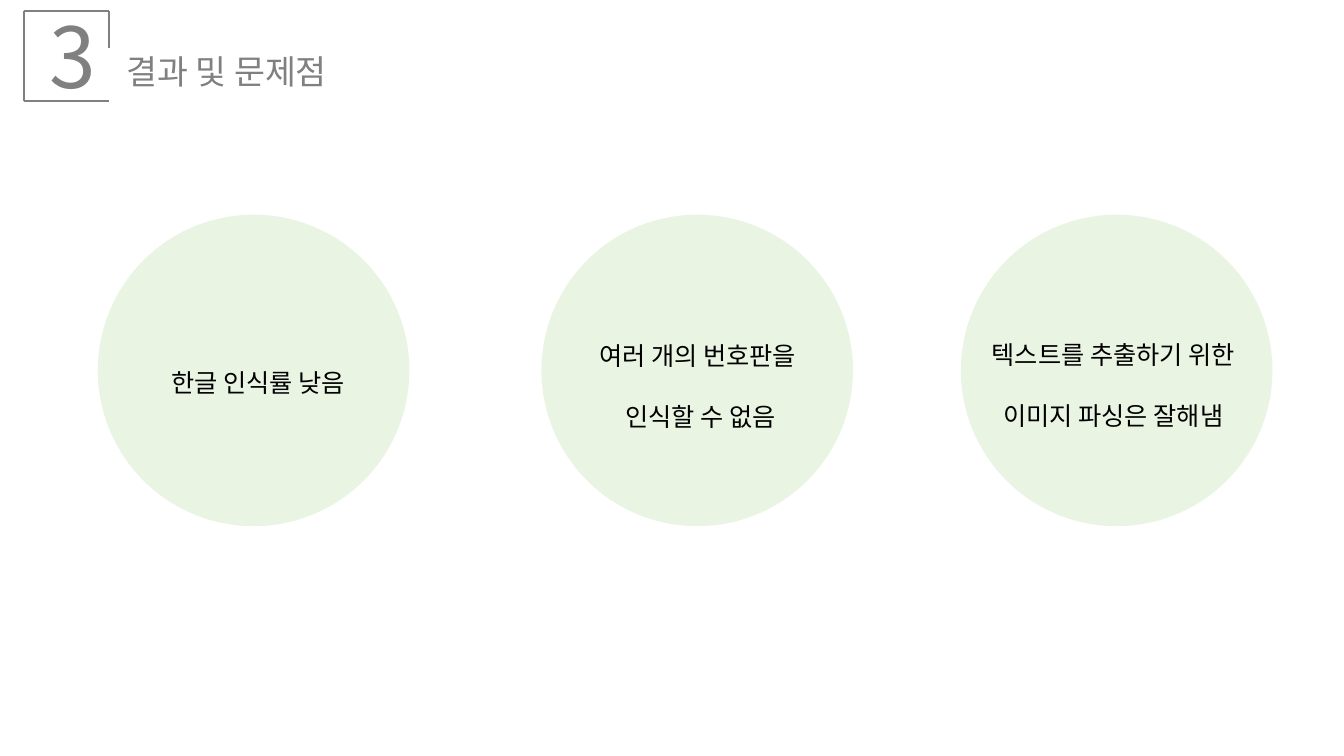
from lxml import etree
from pptx import Presentation
from pptx.dml.color import RGBColor
from pptx.enum import shapes, text
from pptx.oxml.ns import qn
from pptx.util import Inches, Pt

FONT = "Noto Sans CJK KR"
GRAY = "808080"
BLACK = "000000"
PALE_GREEN = "E2F0D9"
CIRCLE_TOP, CIRCLE_SIZE = 2.13, 3.09
FINDING_WIDTH = 3.44

# circle left, text left, text top, text height, paragraphs
FINDINGS = [
    (0.97, 0.87, 3.29, 1.31, ["한글 인식률 낮음 "]),
    (5.37, 5.2, 3.03, 1.31, ["여러 개의 번호판을", " 인식할 수 없음"]),
    (9.53, 9.35, 3.02, 1.31, ["텍스트를 추출하기 위한 ", "이미지 파싱은 잘해냄 "]),
]


def rgb(hex_color):
    return RGBColor.from_string(hex_color)


def add_text(parent, box, lines, size, color=BLACK, align=None, spacing=None):
    """Add a text box with one paragraph per line."""
    tf = parent.add_textbox(*map(Inches, box)).text_frame
    tf.word_wrap = True
    tf.auto_size = text.MSO_AUTO_SIZE.SHAPE_TO_FIT_TEXT
    for i, line in enumerate(lines):
        p = tf.add_paragraph() if i else tf.paragraphs[0]
        p.alignment = align
        p.line_spacing = spacing
        r = p.add_run()
        r.text = line
        r.font.size = Pt(size)
        r.font.color.rgb = rgb(color)
        r.font.name = FONT
        # Korean glyphs take the East Asian typeface
        etree.SubElement(r.font._element, qn("a:ea"), typeface=FONT)


def add_circle(parent, left):
    sp = parent.add_shape(shapes.MSO_SHAPE.OVAL, Inches(left), Inches(CIRCLE_TOP),
                          Inches(CIRCLE_SIZE), Inches(CIRCLE_SIZE))
    sp.shadow.inherit = False
    sp.line.fill.background()
    sp.fill.solid()
    sp.fill.fore_color.rgb = rgb(PALE_GREEN)
    color = sp._element.spPr.find(".//" + qn("a:srgbClr"))
    etree.SubElement(color, qn("a:alpha"), val="72000")


def add_line(parent, *ends):
    line = parent.add_connector(shapes.MSO_CONNECTOR.STRAIGHT, *map(Inches, ends))
    line.line.color.rgb = rgb(GRAY)
    line.line.width = Pt(1.5)
    etree.SubElement(line._element.spPr, qn("a:effectLst"))


def add_section_number(parent, number):
    """Add the number inside a frame that is open at the lower right."""
    left, top, right, bottom = 0.24, 0.11, 1.08, 1
    group = parent.add_group_shape().shapes
    add_text(group, (0.39, 0, 0.73, 1.11), [number], 60, color=GRAY)
    add_line(group, left, top, right, top)
    add_line(group, left, top, left, bottom)
    add_line(group, left, bottom, right, bottom)
    add_line(group, right, top, right, 0.48)


def main():
    prs = Presentation()
    prs.slide_width, prs.slide_height = Inches(13.33), Inches(7.5)
    s = prs.slides.add_slide(prs.slide_layouts[6])
    for circle_left, *_ in FINDINGS:
        add_circle(s.shapes, circle_left)
    add_section_number(s.shapes, "3")
    add_text(s.shapes, (1.08, 0.46, 5.89, 0.5), [" 결과 및 문제점"], 24, color=GRAY)
    for _, left, top, height, lines in FINDINGS:
        add_text(s.shapes, (left, top, FINDING_WIDTH, height), lines, 18,
                 align=text.PP_ALIGN.CENTER, spacing=2.0)
    prs.save("out.pptx")


if __name__ == "__main__":
    main()
